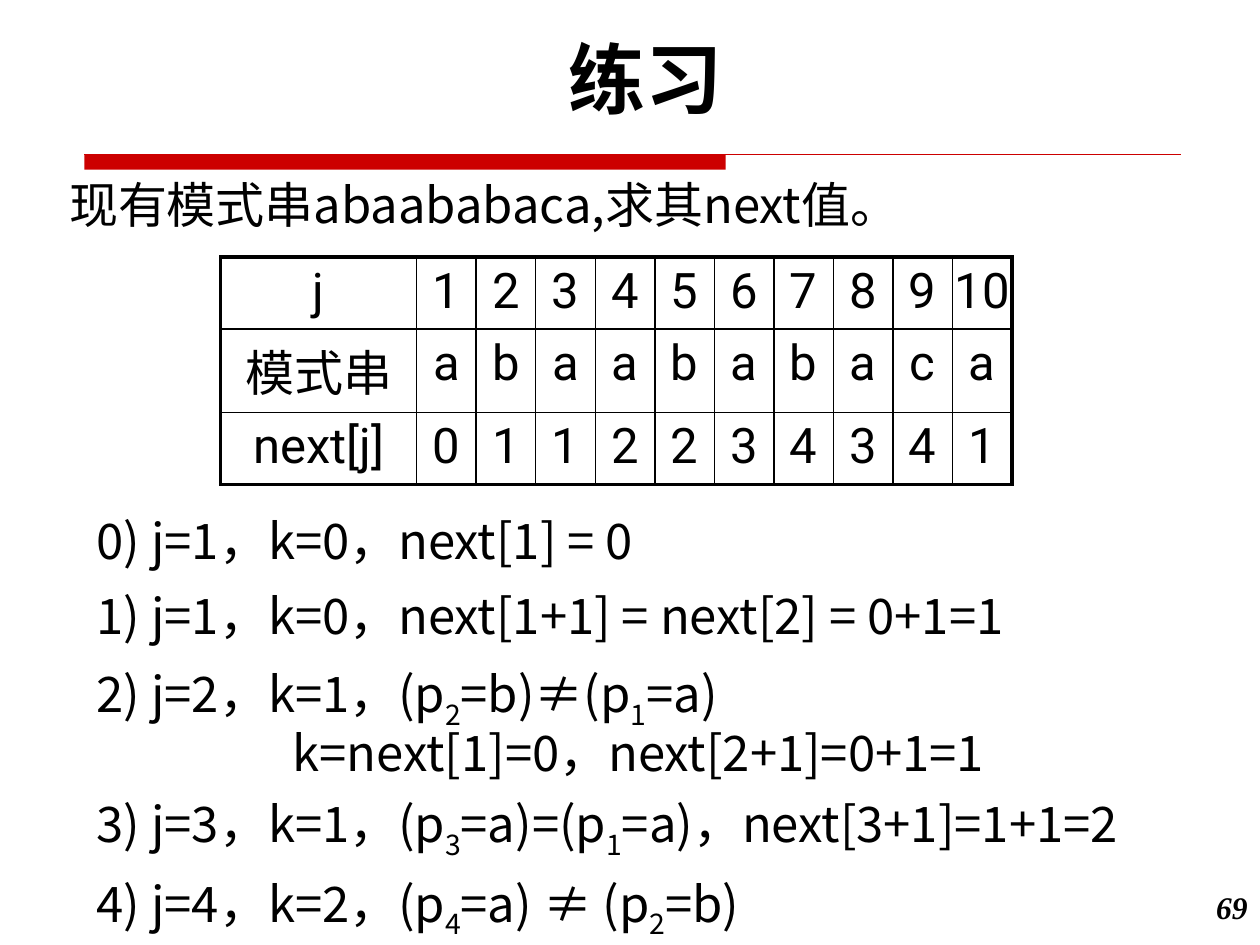
from dataclasses import dataclass

from lxml.etree import SubElement
from pptx import Presentation
from pptx.dml.color import RGBColor
from pptx.enum.shapes import MSO_CONNECTOR, MSO_SHAPE
from pptx.enum.text import MSO_ANCHOR, PP_ALIGN
from pptx.oxml.ns import qn
from pptx.util import Cm, Pt

BLACK, RED = "000000", "CC0000"
SANS, ROBOTO, SERIF = "Noto Sans CJK SC", "Roboto", "Times New Roman"
THIN, THICK = 1, 2.25


@dataclass
class Step:
    """One line of the worked answer; an underscore lowers the next character."""
    text: str
    top: float
    width: float = 20.4
    indent: float = 0


STEPS = [
    Step("0) j=1，k=0，next[1] = 0", 10.16),
    Step("1) j=1，k=0，next[1+1] = next[2] = 0+1=1", 11.68),
    Step("2) j=2，k=1，(p_2=b)≠(p_1=a)", 13.26),
    Step("k=next[1]=0，next[2+1]=0+1=1", 14.45, indent=3.95),
    Step("3) j=3，k=1，(p_3=a)=(p_1=a)，next[3+1]=1+1=2", 15.88, width=23.42),
    Step("4) j=4，k=2，(p_4=a) ≠ (p_2=b)", 17.48, width=22.66),
]

TABLE_ROWS = [
    ["j", *map(str, range(1, 11))],
    ["模式串", *"abaababaca"],
    ["next[j]", *"0112234341"],
]


def color(value: str) -> RGBColor:
    return RGBColor.from_string(value)


def format_paragraph(para, name: str, size: float, bold=False, italic=False,
                     align=PP_ALIGN.LEFT) -> None:
    para.alignment = align
    para.space_before = Pt(0)
    font = para.font
    font.name, font.size, font.bold, font.italic = name, Pt(size), bold, italic
    font.color.rgb = color(BLACK)


def place(shape, left: float, top: float, width: float, height: float) -> None:
    shape.left, shape.top = Cm(left), Cm(top)
    shape.width, shape.height = Cm(width), Cm(height)


def add_text_box(page, left: float, top: float, width: float, height: float):
    box = page.shapes.add_textbox(Cm(left), Cm(top), Cm(width), Cm(height))
    box.text_frame.word_wrap = True
    return box.text_frame.paragraphs[0]


def set_indent(para, indent: float) -> None:
    properties = para._p.get_or_add_pPr()
    properties.set("marL", str(Cm(indent)))
    properties.set("indent", "0")


def add_step(page, step: Step) -> None:
    para = add_text_box(page, 1.7, step.top, step.width, 1.45)
    set_indent(para, step.indent)
    format_paragraph(para, SANS, 28)
    first, *others = step.text.split("_")
    para.add_run().text = first
    for part in others:
        subscript = para.add_run()
        subscript.text = part[0]
        subscript.font._element.set("baseline", "-25000")
        para.add_run().text = part[1:]


def set_border(cell, side: str, width: float) -> None:
    line = SubElement(cell._tc.get_or_add_tcPr(), qn(f"a:{side}"), w=str(Pt(width)))
    fill = SubElement(line, qn("a:solidFill"))
    SubElement(fill, qn("a:srgbClr"), val=BLACK)


def add_next_table(page) -> None:
    row_count, column_count = len(TABLE_ROWS), len(TABLE_ROWS[0])
    frame = page.shapes.add_table(row_count, column_count, Cm(4.45), Cm(5.18),
                                  Cm(15.95), Cm(4.35))
    table = frame.table
    table.first_row = table.horz_banding = False
    for index, column in enumerate(table.columns):
        column.width = Cm(1.2 if index else 3.95)
    for r, values in enumerate(TABLE_ROWS):
        table.rows[r].height = Cm(1.45)
        for c, value in enumerate(values):
            cell = table.cell(r, c)
            cell.margin_left = cell.margin_right = 0
            outer_sides = {"lnL": c == 0, "lnR": c == column_count - 1,
                           "lnT": r == 0, "lnB": r == row_count - 1}
            for side, outer in outer_sides.items():
                set_border(cell, side, THICK if outer else THIN)
            cell.fill.background()
            cell.text = value
            format_paragraph(cell.text_frame.paragraphs[0], ROBOTO, 28,
                             align=PP_ALIGN.CENTER)


def add_header_rule(page) -> None:
    bar = page.shapes.add_shape(MSO_SHAPE.RECTANGLE, Cm(1.7), Cm(3.12), Cm(12.93), Cm(0.3))
    bar.shadow.inherit = False
    bar.fill.solid()
    bar.fill.fore_color.rgb = color(RED)
    bar.line.fill.background()
    rule = page.shapes.add_connector(MSO_CONNECTOR.STRAIGHT, Cm(1.7), Cm(3.12),
                                     Cm(23.8), Cm(3.12))
    rule.line.color.rgb = color(RED)
    rule.line.width = Pt(0.75)
    SubElement(rule._element.spPr, qn("a:effectLst"))


def main() -> None:
    deck = Presentation()
    deck.slide_width, deck.slide_height = Cm(25.4), Cm(19.05)
    page = deck.slides.add_slide(deck.slide_layouts[1])
    add_header_rule(page)

    # Title
    title = page.shapes.title
    place(title, 1.27, 0.5, 23.5, 2.13)
    title.text_frame.text = "练习"
    title.text_frame.vertical_anchor = MSO_ANCHOR.TOP
    format_paragraph(title.text_frame.paragraphs[0], ROBOTO, 44, bold=True,
                     align=PP_ALIGN.CENTER)

    # Question
    question = page.placeholders[1]
    place(question, 0.89, 3.53, 23.5, 2.54)
    question.text_frame.text = "现有模式串abaababaca,求其next值。"
    para = question.text_frame.paragraphs[0]
    set_indent(para, 0.25)
    para.line_spacing = 0.9
    SubElement(para._p.get_or_add_pPr(), qn("a:buNone"))
    format_paragraph(para, SANS, 28)

    # Table and worked steps
    add_next_table(page)
    for step in STEPS:
        add_step(page, step)

    # Page number
    number = add_text_box(page, 23.7, 17.78, 1.7, 1.27)
    number.text = "69"
    format_paragraph(number, SERIF, 18, bold=True, italic=True, align=PP_ALIGN.RIGHT)

    deck.save("out.pptx")


if __name__ == "__main__":
    main()
